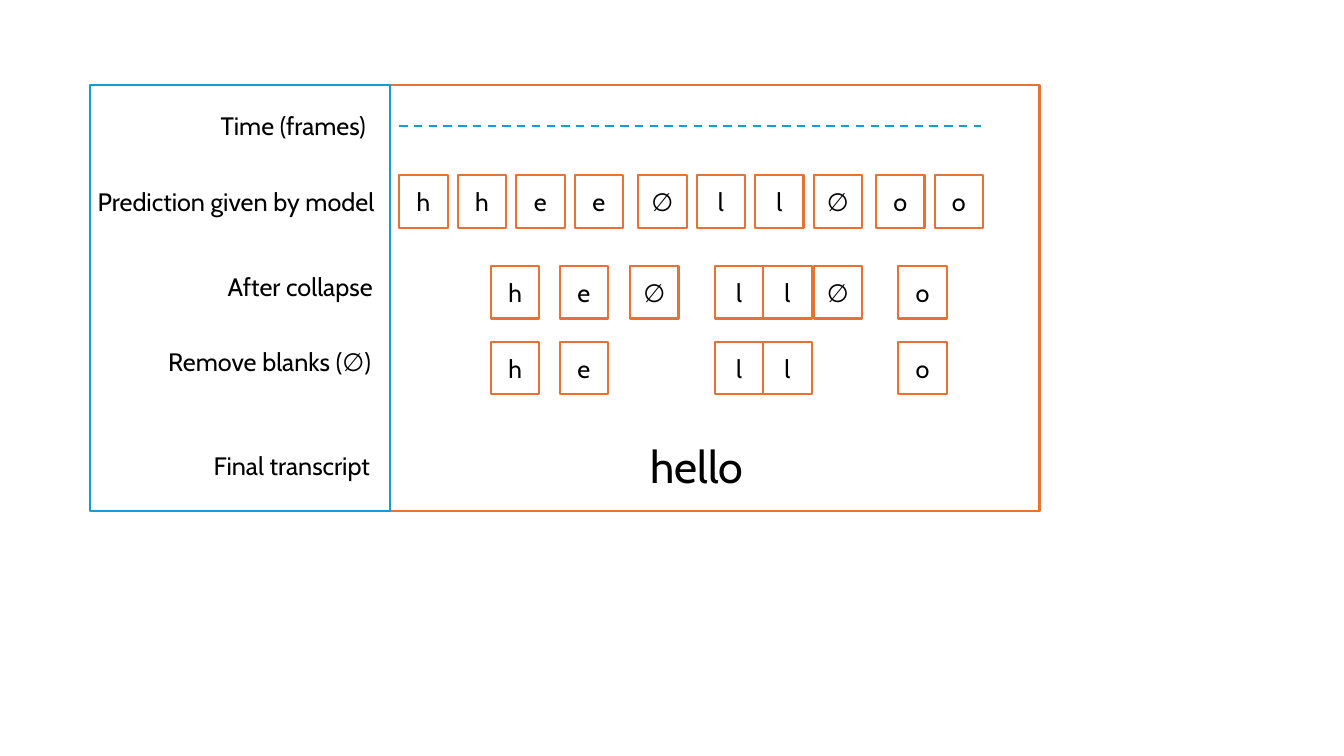
from dataclasses import dataclass

from lxml.etree import SubElement
from pptx import Presentation
from pptx.dml.color import RGBColor
from pptx.enum.dml import MSO_LINE
from pptx.enum.shapes import MSO_CONNECTOR, MSO_SHAPE
from pptx.enum.text import MSO_ANCHOR, MSO_AUTO_SIZE, PP_ALIGN
from pptx.oxml.ns import qn
from pptx.shapes.autoshape import Shape
from pptx.slide import Slide
from pptx.text.text import TextFrame
from pptx.util import Inches, Pt

COLORS = {"paper": "FFFFFF", "ink": "000000", "orange": "E97132", "blue": "0F9ED5"}
BLANK = "∅"
TOKEN_WIDTH, TOKEN_HEIGHT = 0.48, 0.52
PREDICTION_TOP, COLLAPSE_TOP, REMOVAL_TOP = 1.74, 2.64, 3.39
FRAME_STEP = 0.58


@dataclass(frozen=True)
class Panel:
    left: float
    top: float
    width: float
    height: float
    outline: str


@dataclass(frozen=True)
class Token:
    left: float
    symbol: str


@dataclass(frozen=True)
class Caption:
    text: str
    left: float
    top: float
    width: float
    height: float = 0.4
    size: int = 18
    wraps: bool = False
    align: PP_ALIGN = PP_ALIGN.LEFT


PANELS = [
    Panel(3.86, 0.84, 6.45, 4.23, "orange"),
    Panel(0.89, 0.84, 2.98, 4.23, "blue"),
]
# Runs of frames, each with the left edge of its first frame
PREDICTION_RUNS = {3.96: "hhee", 6.33: "∅ll∅", 8.69: "oo"}
COLLAPSED = [
    Token(4.87, "h"), Token(5.55, "e"), Token(6.25, BLANK), Token(7.09, "l"),
    Token(7.57, "l"), Token(8.07, BLANK), Token(8.91, "o"),
]
CAPTIONS = [
    Caption("hello", 5.86, 4.3, 2.1, 0.64, 32, True, PP_ALIGN.CENTER),
    Caption("Time (frames)", 2.09, 1.05, 1.69),
    Caption("Prediction given by model", 0.87, 1.8, 2.98),
    Caption("After collapse", 2.16, 2.64, 1.71),
    Caption("Remove blanks (∅)", 1.57, 3.39, 2.37, wraps=True),
    Caption("Final transcript", 2.02, 4.42, 1.84),
]


def color(name: str) -> RGBColor:
    return RGBColor.from_string(COLORS[name])


def write(frame: TextFrame, text: str, size: int, align: PP_ALIGN) -> None:
    paragraph = frame.paragraphs[0]
    paragraph.alignment = align
    run = paragraph.add_run()
    run.text = text
    for attribute, value in {"name": "Cabin", "size": Pt(size)}.items():
        setattr(run.font, attribute, value)
    run.font.color.rgb = color("ink")


def draw_panel(slide: Slide, panel: Panel) -> Shape:
    box = slide.shapes.add_shape(
        MSO_SHAPE.RECTANGLE, Inches(panel.left), Inches(panel.top),
        Inches(panel.width), Inches(panel.height))
    box.shadow.inherit = False
    box.fill.solid()
    box.fill.fore_color.rgb = color("paper")
    box.line.color.rgb = color(panel.outline)
    box.line.width = Pt(1.5)
    return box


def draw_tokens(slide: Slide, tokens: list[Token], top: float) -> None:
    for token in tokens:
        box = draw_panel(
            slide, Panel(token.left, top, TOKEN_WIDTH, TOKEN_HEIGHT, "orange"))
        box.text_frame.vertical_anchor = MSO_ANCHOR.MIDDLE
        write(box.text_frame, token.symbol, 18, PP_ALIGN.CENTER)


def draw_timeline(slide: Slide) -> None:
    timeline = slide.shapes.add_connector(
        MSO_CONNECTOR.STRAIGHT, Inches(3.96), Inches(1.25), Inches(9.73), Inches(1.25))
    timeline.line.color.rgb = color("blue")
    line_format = {"width": Pt(1.5), "dash_style": MSO_LINE.DASH}
    for attribute, value in line_format.items():
        setattr(timeline.line, attribute, value)
    SubElement(timeline._element.spPr, qn("a:effectLst"))


def draw_caption(slide: Slide, caption: Caption) -> None:
    frame = slide.shapes.add_textbox(
        Inches(caption.left), Inches(caption.top),
        Inches(caption.width), Inches(caption.height)).text_frame
    frame_format = {
        "word_wrap": caption.wraps,
        "auto_size": MSO_AUTO_SIZE.SHAPE_TO_FIT_TEXT,
    }
    for attribute, value in frame_format.items():
        setattr(frame, attribute, value)
    write(frame, caption.text, caption.size, caption.align)


def main() -> None:
    deck = Presentation()
    deck.slide_width, deck.slide_height = Inches(13.33), Inches(7.5)
    slide = deck.slides.add_slide(deck.slide_layouts[6])

    # Panels and time axis
    for panel in PANELS:
        draw_panel(slide, panel)
    draw_timeline(slide)

    # Decoding steps
    prediction = [
        Token(start + index * FRAME_STEP, symbol)
        for start, symbols in PREDICTION_RUNS.items()
        for index, symbol in enumerate(symbols)
    ]
    without_blanks = [token for token in COLLAPSED if token.symbol != BLANK]
    draw_tokens(slide, prediction, PREDICTION_TOP)
    draw_tokens(slide, COLLAPSED, COLLAPSE_TOP)
    draw_tokens(slide, without_blanks, REMOVAL_TOP)

    # Transcript and row captions
    for caption in CAPTIONS:
        draw_caption(slide, caption)

    deck.save("out.pptx")


if __name__ == "__main__":
    main()
